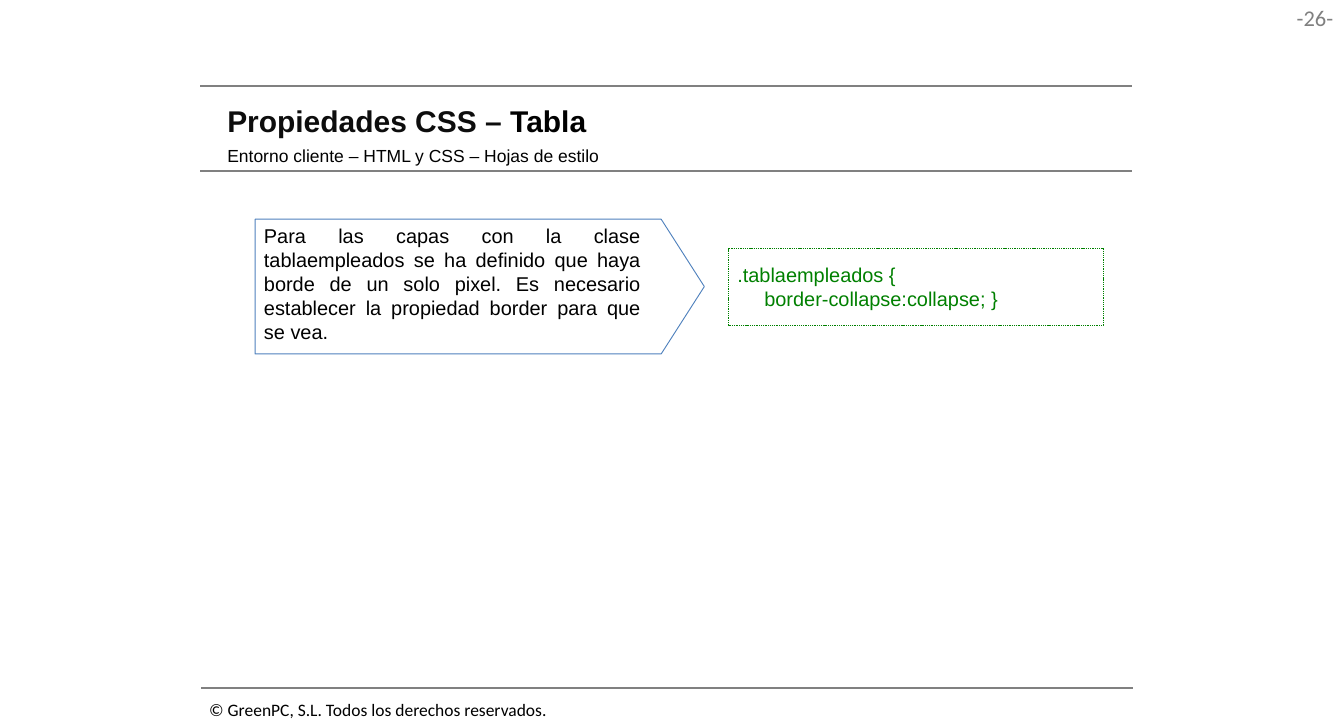
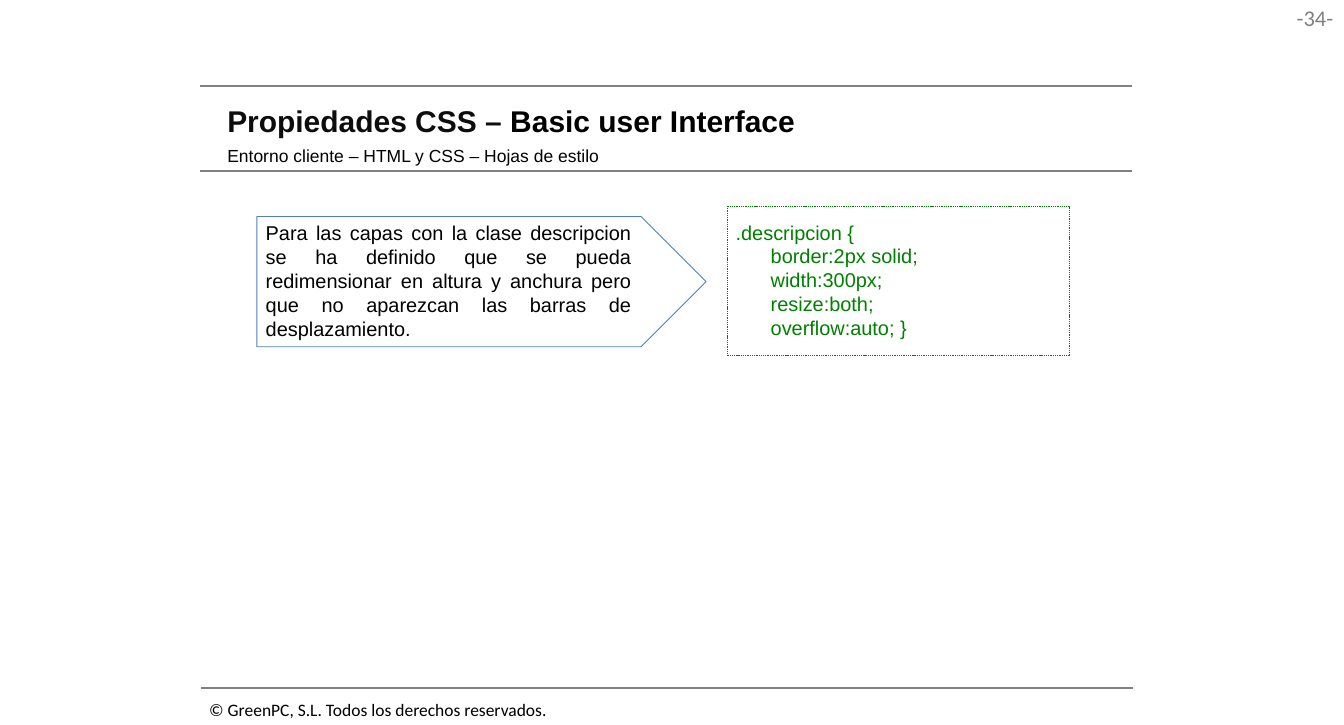
"""Build two slides explaining CSS properties, each with a note and its code."""
from lxml.etree import SubElement
from pptx import Presentation
from pptx.dml.color import RGBColor
from pptx.enum.dml import MSO_LINE
from pptx.enum.shapes import MSO_CONNECTOR, MSO_SHAPE
from pptx.enum.text import MSO_ANCHOR, MSO_AUTO_SIZE, PP_ALIGN
from pptx.oxml.ns import qn
from pptx.util import Inches, Pt

SLIDES = [
    {
        "number": "-26-",
        "topic": "Tabla",
        "note": "Para las capas con la clase tablaempleados se ha definido que haya "
                "borde de un solo pixel. Es necesario establecer la propiedad border "
                "para que se vea.",
        "note_box": (2.84, 2.44, 5, 1.5),
        "point": 0.32,
        "code": [".tablaempleados {", "\tborder-collapse:collapse; }"],
        "code_box": (8.11, 2.76, 4.17, 0.86),
        "tab": 0.3,
    },
    {
        "number": "-34-",
        "topic": "Basic user Interface",
        "note": "Para las capas con la clase descripcion se ha definido que se pueda "
                "redimensionar en altura y anchura pero que no aparezcan las barras "
                "de desplazamiento.",
        "note_box": (2.86, 2.41, 5, 1.45),
        "point": 0.5,
        "code": [".descripcion {", "\tborder:2px solid;", "\twidth:300px;",
                 "\tresize:both;", "\toverflow:auto; }"],
        "code_box": (8.09, 2.29, 3.81, 1.66),
        "tab": 0.39,
    },
]
TITLE_START = "Propiedades CSS – "
SUBTITLE = "Entorno cliente – HTML y CSS – Hojas de estilo"
COPYRIGHT = "© GreenPC, S.L. Todos los derechos reservados."

BLACK, DARK, GRAY, GREEN, BLUE = "000000", "0D0D0D", "808080", "008000", "4F81BD"
WHITE = "FFFFFF"
RULES = [(2.23, 0.96), (2.23, 1.9), (2.24, 7.66)]
RULE_WIDTH = 10.37
HEADING_INSETS = (0.13, 0.07, 0.13, 0.07)

NUMBER_FONT = {"name": "Calibri", "size": Pt(18)}
FOOTER_FONT = {"name": "Calibri", "size": Pt(14)}
TITLE_FONT = {"name": "Arial", "size": Pt(24), "bold": True}
SUBTITLE_FONT = {"name": "Arial", "size": Pt(14), "bold": False}
CONTENT_FONT = {"name": "Arial", "size": Pt(16)}


def color(value):
    return RGBColor.from_string(value)


def set_values(target, values):
    for name, value in values.items():
        setattr(target, name, value)


def place(shape, box):
    names = ("left", "top", "width", "height")
    set_values(shape, dict(zip(names, map(Inches, box))))


def set_frame(shape, insets=(0.1, 0.05, 0.1, 0.05), anchor=MSO_ANCHOR.TOP, wrap=True):
    frame = shape.text_frame
    names = ("margin_left", "margin_top", "margin_right", "margin_bottom")
    set_values(frame, dict(zip(names, map(Inches, insets))))
    set_values(frame, {"word_wrap": wrap, "vertical_anchor": anchor,
                       "auto_size": MSO_AUTO_SIZE.NONE})


def write(paragraph, runs, font, align=PP_ALIGN.LEFT):
    set_values(paragraph, {"alignment": align, "space_before": Pt(0)})
    for text, run_color in runs:
        run = paragraph.add_run()
        run.text = text
        set_values(run.font, font)
        run.font.color.rgb = color(run_color)


def add_rule(slide, left, top):
    rule = slide.shapes.add_connector(
        MSO_CONNECTOR.STRAIGHT, Inches(left), Inches(top),
        Inches(left + RULE_WIDTH), Inches(top))
    rule.line.color.rgb = color(GRAY)
    rule.line.width = Pt(1.5)
    SubElement(rule.element.spPr, qn("a:effectLst"))


def add_label(slide, box, text, text_color, font, align, insets):
    label = slide.shapes.add_textbox(*map(Inches, box))
    set_frame(label, insets, wrap=False)
    write(label.text_frame.paragraphs[0], [(text, text_color)], font, align)


def add_box(slide, kind, box, line_color, line_width, insets):
    shape = slide.shapes.add_shape(kind, *map(Inches, box))
    shape.shadow.inherit = False
    shape.line.color.rgb = color(line_color)
    shape.line.width = Pt(line_width)
    set_frame(shape, insets)
    return shape


def add_frame(slide, number):
    for left, top in RULES:
        add_rule(slide, left, top)
    add_label(slide, (14.13, 0, 0.82, 0.41), number, GRAY, NUMBER_FONT,
              PP_ALIGN.RIGHT, (0.11, 0.05, 0.11, 0.05))
    add_label(slide, (2.23, 7.73, 3.99, 0.34), COPYRIGHT, BLACK, FOOTER_FONT,
              PP_ALIGN.LEFT, (0.1, 0.05, 0.1, 0.05))


def fill_headings(slide, topic):
    title, subtitle = slide.shapes.title, slide.placeholders[1]
    headings = [
        (title, (2.4, 1.07, 10.12, 0.54), TITLE_FONT,
         [(TITLE_START, DARK), (topic, BLACK)]),
        (subtitle, (2.4, 1.55, 7.6, 0.37), SUBTITLE_FONT, [(SUBTITLE, BLACK)]),
    ]
    for shape, box, font, runs in headings:
        place(shape, box)
        set_frame(shape, HEADING_INSETS, MSO_ANCHOR.MIDDLE)
        write(shape.text_frame.paragraphs[0], runs, font)
    properties = subtitle.text_frame.paragraphs[0]._p.get_or_add_pPr()
    properties.set("marL", "0")
    properties.set("indent", "0")
    SubElement(properties, qn("a:buNone"))


def add_code(slide, box, lines, tab):
    code = add_box(slide, MSO_SHAPE.RECTANGLE, box, GREEN, 0.25,
                   (0.1, 0.16, 0.1, 0.16))
    code.fill.solid()
    code.fill.fore_color.rgb = color(WHITE)
    code.line.dash_style = MSO_LINE.DASH
    frame = code.text_frame
    for index, line in enumerate(lines):
        paragraph = frame.add_paragraph() if index else frame.paragraphs[0]
        write(paragraph, [(line, GREEN)], CONTENT_FONT)
        tabs = SubElement(paragraph._p.get_or_add_pPr(), qn("a:tabLst"))
        SubElement(tabs, qn("a:tab"), pos=str(Inches(tab)), algn="l")


def add_note(slide, box, text, point):
    note = add_box(slide, MSO_SHAPE.PENTAGON, box, BLUE, 0.75,
                   (0.1, 0.05, 0.47, 0.05))
    note.fill.background()
    note.adjustments[0] = point
    write(note.text_frame.paragraphs[0], [(text, BLACK)], CONTENT_FONT,
          PP_ALIGN.JUSTIFY)


def main():
    presentation = Presentation()
    presentation.slide_width = Inches(14.96)
    presentation.slide_height = Inches(8.07)
    for content in SLIDES:
        slide = presentation.slides.add_slide(presentation.slide_layouts[1])
        add_frame(slide, content["number"])
        fill_headings(slide, content["topic"])
        add_code(slide, content["code_box"], content["code"], content["tab"])
        add_note(slide, content["note_box"], content["note"], content["point"])
    presentation.save("out.pptx")


if __name__ == "__main__":
    main()
